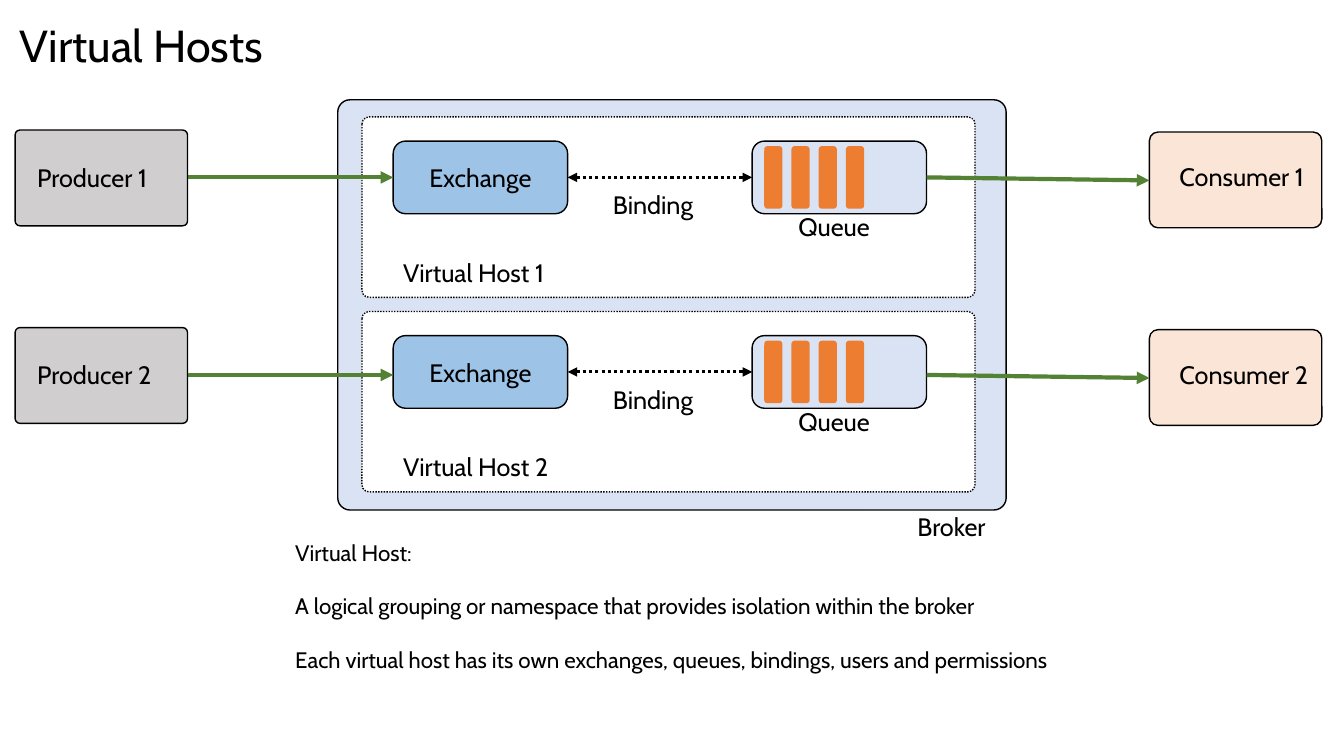
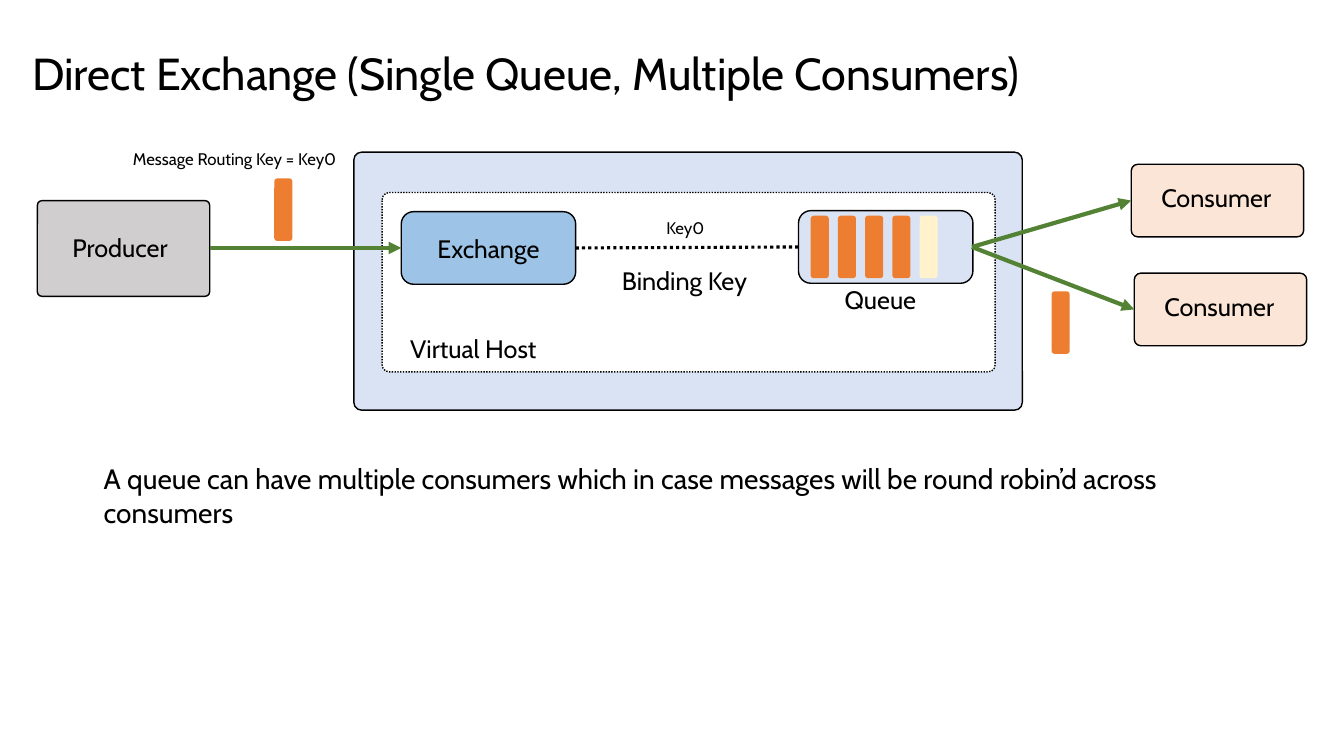
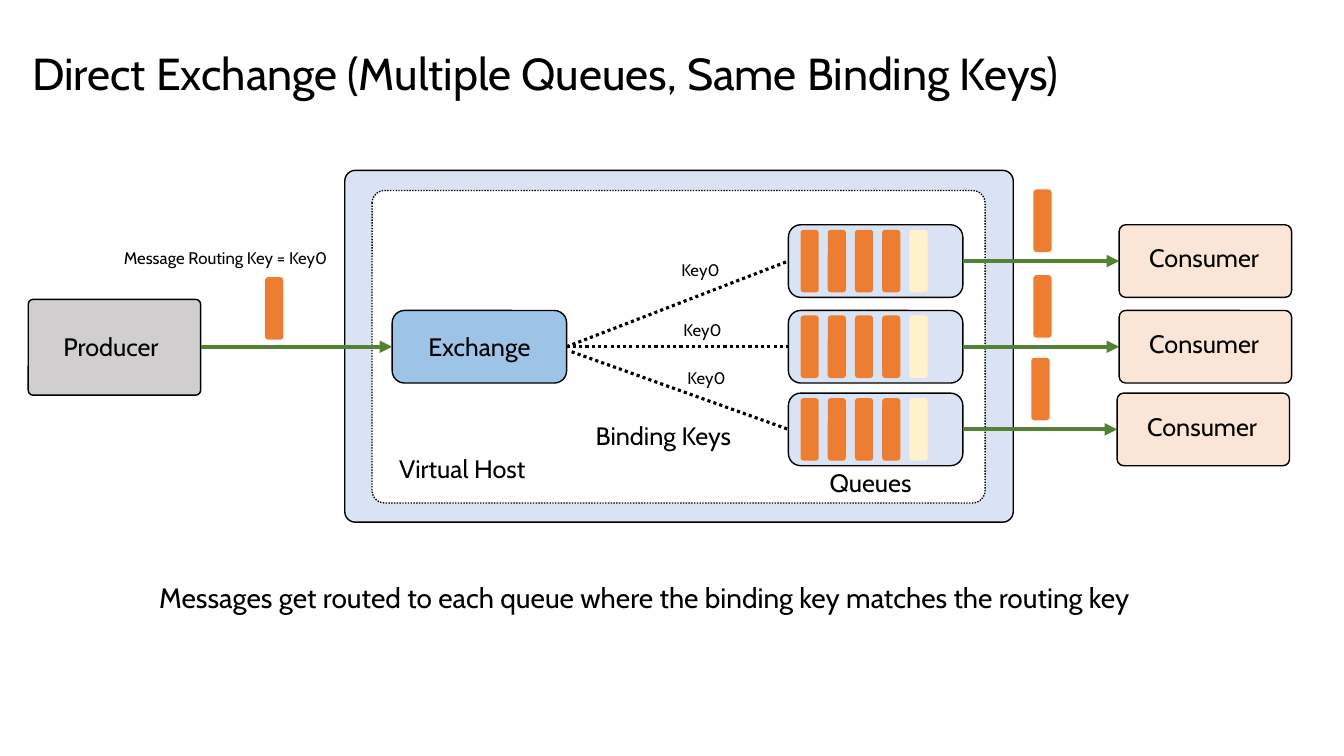
from lxml import etree
from pptx import Presentation
from pptx.dml.color import RGBColor
from pptx.enum.dml import MSO_LINE
from pptx.enum.shapes import MSO_CONNECTOR as CONN, MSO_SHAPE as SHAPE
from pptx.enum.text import MSO_ANCHOR, PP_ALIGN
from pptx.oxml.ns import qn
from pptx.util import Inches, Pt

FONT = "Cabin"
COLORS = {
    "ink": "000000",
    "white": "FFFFFF",
    "producer": "D0CECE",
    "broker": "DAE3F3",
    "exchange": "9DC3E6",
    "consumer": "FBE5D6",
    "message": "ED7D31",
    "new_message": "FFF2CC",
    "flow": "548235",
}
NODE_W, NODE_H = 1.73, 0.72      # exchange and queue
END_W, PRODUCER_H = 1.71, 0.95   # producer and consumer
BROKER_W, HOST_W = 6.63, 6.08


def rgb(name):
    return RGBColor.from_string(COLORS[name])


# Basic parts
def style(p, size):
    p.font.name = FONT
    p.font.size = Pt(size)
    p.font.color.rgb = rgb("ink")


def label(shapes, x, y, w, *lines, size=18, gap=0):
    tf = shapes.add_textbox(Inches(x), Inches(y), Inches(w), Inches(0.4)).text_frame
    tf.word_wrap = True
    for i, line in enumerate(lines):
        p = tf.add_paragraph() if i else tf.paragraphs[0]
        p.text = line
        p.space_before = Pt(gap if i else 0)
        style(p, size)


def box(shapes, x, y, w, h, fill, adj=0.17, outline=True, dotted=False):
    sp = shapes.add_shape(SHAPE.ROUNDED_RECTANGLE, Inches(x), Inches(y), Inches(w), Inches(h))
    sp.shadow.inherit = False
    sp.adjustments[0] = adj
    sp.fill.solid()
    sp.fill.fore_color.rgb = rgb(fill)
    if outline:
        sp.line.color.rgb = rgb("ink")
        sp.line.width = Pt(1)
        if dotted:
            sp.line.dash_style = MSO_LINE.ROUND_DOT
    else:
        sp.line.fill.background()
    return sp


def connect(slide, start, end, color, width, ends=(), dotted=False):
    cx = slide.shapes.add_connector(CONN.STRAIGHT, *map(Inches, start + end))
    cx.line.color.rgb = rgb(color)
    cx.line.width = Pt(width)
    if dotted:
        cx.line.dash_style = MSO_LINE.ROUND_DOT
    ln = cx.line._get_or_add_ln()
    for tag in ends:
        etree.SubElement(ln, qn(tag)).set("type", "triangle")
    etree.SubElement(cx._element.spPr, qn("a:effectLst"))


def flow(slide, start, end):
    connect(slide, start, end, "flow", 3, ends=("a:tailEnd",))


def binding(slide, start, end, ends=()):
    connect(slide, start, end, "ink", 2.25, ends, dotted=True)


# Diagram parts
def title(slide, x, y, text):
    label(slide.shapes, x, y, 12.5, text, size=32)


def message(shapes, x, y, fill="message"):
    box(shapes, x, y, 0.18, 0.62, fill, outline=False)


def queue(slide, x, y, incoming=True):
    shapes = slide.shapes.add_group_shape().shapes
    box(shapes, x, y, NODE_W, NODE_H, "broker")
    fills = ["message"] * 4 + ["new_message"] * incoming
    for i, fill in enumerate(fills):
        message(shapes, x + 0.12 + 0.27 * i, y + 0.05, fill)


def exchange(slide, x, y):
    sp = box(slide.shapes, x, y, NODE_W, NODE_H, "exchange")
    tf = sp.text_frame
    tf.vertical_anchor = MSO_ANCHOR.MIDDLE
    p = tf.paragraphs[0]
    p.text = "Exchange"
    p.alignment = PP_ALIGN.CENTER
    style(p, 18)


def producer(slide, x, y, text="Producer", indent=0.25):
    shapes = slide.shapes.add_group_shape().shapes
    box(shapes, x, y, END_W, PRODUCER_H, "producer", 0.05)
    label(shapes, x + indent, y + 0.27, 1.46, text)


def consumer(slide, x, y, text="Consumer", h=NODE_H):
    shapes = slide.shapes.add_group_shape().shapes
    box(shapes, x, y, END_W, h, "consumer", 0.09)
    label(shapes, x + 0.2, y + h / 2 - 0.23, 1.6, text)


def broker(slide, x, y, h):
    box(slide.shapes, x, y, BROKER_W, h, "broker", 0.03)


def host(slide, x, y, h, name, dx, dy):
    box(slide.shapes, x, y, HOST_W, h, "white", 0.04, dotted=True)
    label(slide.shapes, x + dx, y + dy, 1.75, name)


def bound_host(slide, x, y, name):
    """Virtual host with one exchange bound to one queue."""
    host(slide, x, y, 1.79, name, 0.31, 1.34)
    exchange(slide, x + 0.31, y + 0.24)
    queue(slide, x + 3.87, y + 0.24, incoming=False)
    label(slide.shapes, x + 4.23, y + 0.89, 0.94, "Queue")
    binding(slide, (x + 2.04, y + 0.6), (x + 3.87, y + 0.6), ("a:headEnd", "a:tailEnd"))
    label(slide.shapes, x + 2.39, y + 0.67, 1.08, "Binding")


def sender(slide, x, y):
    """Producer sending a keyed message to an exchange."""
    producer(slide, x, y)
    exchange(slide, x + 3.61, y + 0.11)
    flow(slide, (x + END_W, y + 0.47), (x + 3.61, y + 0.47))
    message(slide.shapes, x + 2.35, y - 0.22)
    label(slide.shapes, x + 0.85, y - 0.56, 2.34, "Message Routing Key = Key0", size=12)


def key_label(slide, x, y):
    label(slide.shapes, x, y, 0.59, "Key0", size=12)


# Slides
def virtual_hosts(slide):
    title(slide, 0.1, 0.13, "Virtual Hosts")
    broker(slide, 3.35, 0.99, 4.07)
    for i in range(2):
        n, y = i + 1, 1.29 + 1.96 * i
        bound_host(slide, 3.59, 1.16 + 1.93 * i, f"Virtual Host {n}")
        producer(slide, 0.15, y, f"Producer {n}", indent=0.12)
        consumer(slide, 11.4, y + 0.02, f"Consumer {n}", PRODUCER_H)
        flow(slide, (1.86, y + 0.47), (3.9, y + 0.47))
        flow(slide, (9.19, y + 0.47), (11.4, y + 0.5))
    label(slide.shapes, 9, 5.02, 0.98, "Broker")
    label(slide.shapes, 2.83, 5.3, 8.46,
          "Virtual Host:",
          "A logical grouping or namespace that provides isolation within the broker",
          "Each virtual host has its own exchanges, queues, bindings, users and permissions",
          size=16, gap=19)


def single_queue(slide):
    title(slide, 0.22, 0.4, "Direct Exchange (Single Queue, Multiple Consumers)")
    broker(slide, 3.51, 1.51, 2.56)
    host(slide, 3.79, 1.91, 1.78, "Virtual Host", 0.18, 1.35)
    sender(slide, 0.37, 1.99)
    # Binding and queue
    binding(slide, (5.71, 2.46), (7.92, 2.45))
    key_label(slide, 6.51, 2.11)
    label(slide.shapes, 6.07, 2.58, 1.57, "Binding Key")
    queue(slide, 7.92, 2.09)
    label(slide.shapes, 8.28, 2.77, 0.94, "Queue")
    # Consumers
    for x, y in ((11.22, 1.63), (11.25, 2.71)):
        consumer(slide, x, y)
        flow(slide, (9.64, 2.45), (x, y + NODE_H / 2))
    message(slide.shapes, 10.43, 2.89)
    label(slide.shapes, 0.93, 4.53, 11.54,
          "A queue can have multiple consumers which in case messages will be "
          "round robin’d across consumers", size=20)


def multiple_queues(slide):
    title(slide, 0.22, 0.4, "Direct Exchange (Multiple Queues, Same Binding Keys)")
    broker(slide, 3.42, 1.69, 3.49)
    host(slide, 3.69, 1.89, 3.1, "Virtual Host", 0.17, 2.56)
    sender(slide, 0.28, 2.97)
    # One lane per queue: top, start of binding, key position, consumer left
    lanes = (
        (2.23, (5.62, 3.44), (6.66, 2.53), 11.1),
        (3.08, (5.62, 3.44), (6.68, 3.12), 11.1),
        (3.9, (5.67, 3.49), (6.72, 3.6), 11.08),
    )
    for y, start, key, x in lanes:
        mid = y + NODE_H / 2
        queue(slide, 7.82, y)
        binding(slide, start, (7.82, mid))
        key_label(slide, *key)
        consumer(slide, x, y)
        flow(slide, (9.55, mid), (x, mid))
        message(slide.shapes, x - 0.85, y - 0.35)
    label(slide.shapes, 5.81, 4.12, 1.66, "Binding Keys")
    label(slide.shapes, 8.13, 4.59, 1.03, "Queues")
    label(slide.shapes, 1.48, 5.71, 10.49,
          "Messages get routed to each queue where the binding key matches the routing key",
          size=20)


def main():
    prs = Presentation()
    prs.slide_width, prs.slide_height = Inches(13.33), Inches(7.5)
    for build in (virtual_hosts, single_queue, multiple_queues):
        build(prs.slides.add_slide(prs.slide_layouts[6]))
    prs.save("out.pptx")


if __name__ == "__main__":
    main()
